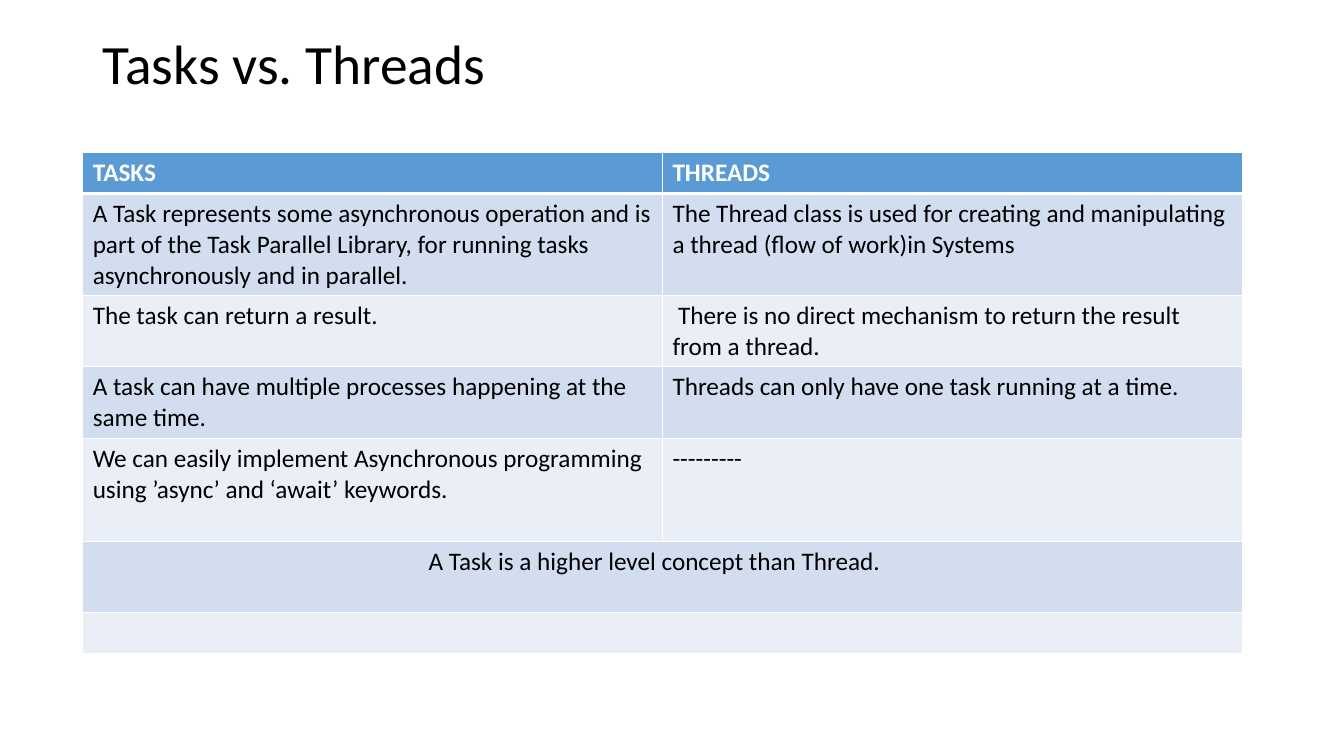
"""Builds a slide with a table comparing tasks and threads."""
from lxml import etree
from pptx import Presentation
from pptx import util as u
from pptx.dml.color import RGBColor
from pptx.enum import text
from pptx.oxml import ns

TITLE = "Tasks vs. Threads"
COMPARISON = [
    ("TASKS", "THREADS"),
    ("A Task represents some asynchronous operation and is part of the Task Parallel Library, "
     "for running tasks asynchronously and in parallel.",
     "The Thread class is used for creating and manipulating a thread (flow of work)in Systems"),
    ("The task can return a result.",
     " There is no direct mechanism to return the result from a thread."),
    ("A task can have multiple processes happening at the same time.",
     "Threads can only have one task running at a time."),
    ("We can easily implement Asynchronous programming using ’async’ and ‘await’ keywords.",
     "---------"),
    ("A Task is a higher level concept than Thread.",),
    ("",),
]
ROW_HEIGHTS = [0.41, 1.01, 0.71, 0.71, 1.02, 0.71, 0.4]
COLUMN_WIDTH = 5.75
CONCLUSION_INDENT = 3.43
FONT = "Calibri"
HEADER, BANDS = "5B9BD5", ("EAEFF7", "D2DEEF")
WHITE, BLACK = "FFFFFF", "000000"


def color(value):
    return RGBColor.from_string(value)


def style(paragraph, size, ink, bold=False):
    for font in [paragraph.font] + [run.font for run in paragraph.runs]:
        font.name, font.size, font.bold = FONT, u.Pt(size), bold
        font.color.rgb = color(ink)


def add_borders(cell, top, bottom):
    properties = cell._tc.get_or_add_tcPr()
    for side, width in (("L", 1), ("R", 1), ("T", top), ("B", bottom)):
        line = etree.SubElement(properties, ns.qn(f"a:ln{side}"), w=str(u.Pt(width)))
        fill = etree.SubElement(line, ns.qn("a:solidFill"))
        etree.SubElement(fill, ns.qn("a:srgbClr"), val=WHITE)


def add_title(slide):
    title = slide.shapes.add_textbox(u.Inches(0.92), u.Inches(0.35), u.Inches(11.5), u.Inches(0.63))
    frame = title.text_frame
    frame.word_wrap = True
    frame.vertical_anchor = text.MSO_ANCHOR.MIDDLE
    frame.text = TITLE
    frame.paragraphs[0].line_spacing = 0.9
    style(frame.paragraphs[0], 39.6, BLACK)


def add_comparison(slide):
    table = slide.shapes.add_table(
        len(COMPARISON), 2, u.Inches(0.82), u.Inches(1.51),
        u.Inches(2 * COLUMN_WIDTH), u.Inches(sum(ROW_HEIGHTS))).table
    for column in table.columns:
        column.width = u.Inches(COLUMN_WIDTH)
    for row, (entries, height) in enumerate(zip(COMPARISON, ROW_HEIGHTS)):
        table.rows[row].height = u.Inches(height)
        is_header = row == 0
        if len(entries) == 1:
            table.cell(row, 0).merge(table.cell(row, 1))
            table.cell(row, 0).margin_left = u.Inches(CONCLUSION_INDENT)
        for column, entry in enumerate(entries):
            cell = table.cell(row, column)
            cell.text_frame.text = entry
            style(cell.text_frame.paragraphs[0], 18, WHITE if is_header else BLACK, is_header)
            add_borders(cell, 3 if row == 1 else 1, 3 if is_header else 1)
            cell.fill.solid()
            cell.fill.fore_color.rgb = color(HEADER if is_header else BANDS[row % 2])


def main():
    deck = Presentation()
    deck.slide_width, deck.slide_height = u.Inches(13.33), u.Inches(7.5)
    slide = deck.slides.add_slide(deck.slide_layouts[6])
    add_title(slide)
    add_comparison(slide)
    deck.save("out.pptx")


if __name__ == "__main__":
    main()
